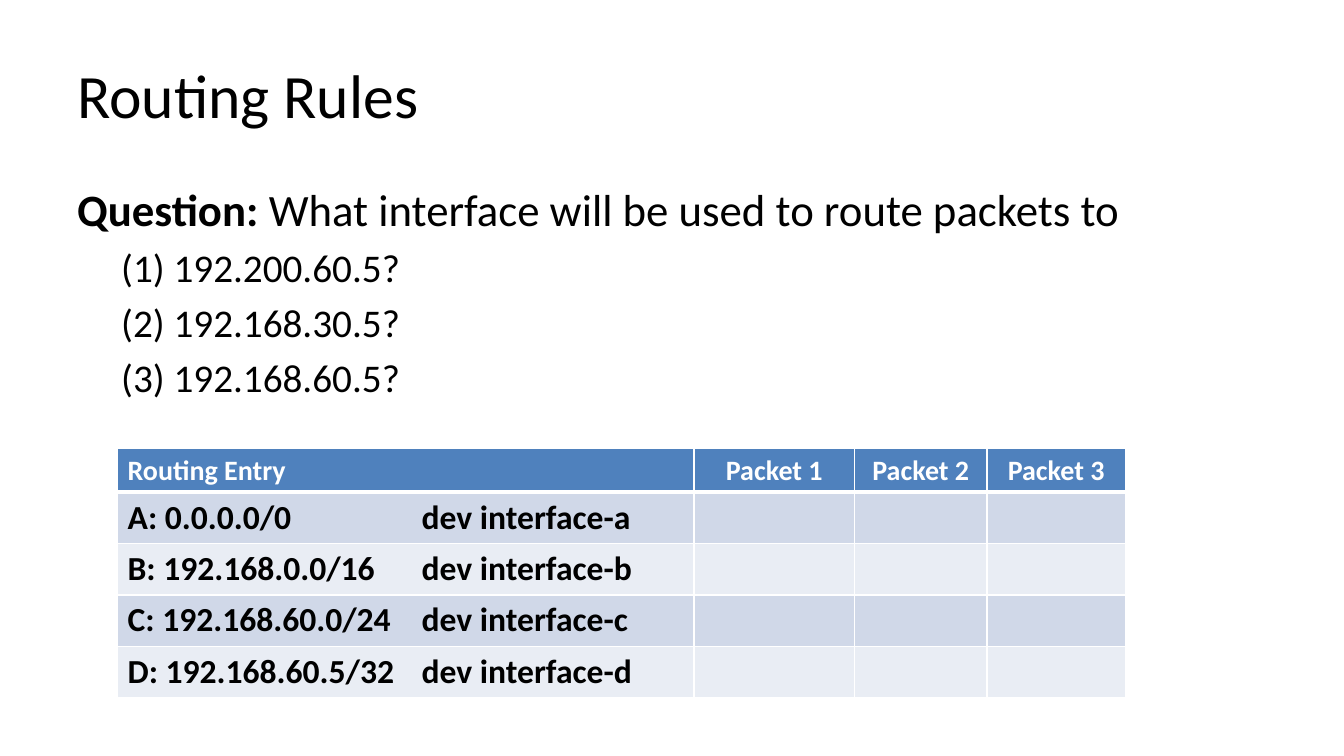
from dataclasses import dataclass

from lxml.etree import SubElement
from pptx import Presentation
from pptx.dml.color import RGBColor
from pptx.enum.text import MSO_ANCHOR, PP_ALIGN
from pptx.oxml.ns import qn
from pptx.util import Pt

EMU_PER_PX = 9525


@dataclass(frozen=True)
class Theme:
    font: str = "Calibri"
    ink: str = "000000"
    white: str = "FFFFFF"
    header: str = "4F81BD"
    bands: tuple = ("D0D8E8", "E9EDF4")
    title_size: int = 44
    question_size: int = 32
    address_size: int = 28
    header_size: int = 20
    entry_size: int = 24


THEME = Theme()

ADDRESSES = ["192.200.60.5", "192.168.30.5", "192.168.60.5"]
HEADINGS = ["Routing Entry", "Packet 1", "Packet 2", "Packet 3"]
ROUTES = [
    ("A: 0.0.0.0/0", "dev interface-a"),
    ("B: 192.168.0.0/16", "dev interface-b"),
    ("C: 192.168.60.0/24", "dev interface-c"),
    ("D: 192.168.60.5/32", "dev interface-d"),
]


def px(length):
    return round(length * EMU_PER_PX)


def add_run(paragraph, text, size, color=THEME.ink, bold=False):
    run = paragraph.add_run()
    run.text = text
    run.font.name = THEME.font
    run.font.size = Pt(size)
    run.font.bold = bold
    run.font.color.rgb = RGBColor.from_string(color)


def add_text_frame(slide, box, anchor):
    frame = slide.shapes.add_textbox(*map(px, box)).text_frame
    frame.word_wrap = True
    frame.vertical_anchor = anchor
    return frame


def add_title(slide, box):
    frame = add_text_frame(slide, box, MSO_ANCHOR.MIDDLE)
    add_run(frame.paragraphs[0], "Routing Rules", THEME.title_size)


def add_question(slide, box):
    frame = add_text_frame(slide, box, MSO_ANCHOR.TOP)
    question = frame.paragraphs[0]
    question.space_before = Pt(THEME.question_size * 0.2)
    add_run(question, "Question: ", THEME.question_size, bold=True)
    add_run(question, "What interface will be used to route packets to", THEME.question_size)

    # Numbered addresses, indented below the question
    for number, address in enumerate(ADDRESSES, start=1):
        item = frame.add_paragraph()
        item.level = 1
        item.space_before = Pt(THEME.address_size * 0.2)
        properties = item._p.get_or_add_pPr()
        properties.set("marL", str(px(42)))
        properties.set("indent", "0")
        add_run(item, f"({number}) {address}?", THEME.address_size)


def add_tab_stop(paragraph, position):
    stops = SubElement(paragraph._p.get_or_add_pPr(), qn("a:tabLst"))
    SubElement(stops, qn("a:tab"), pos=str(px(position)), algn="l")


def style_cell(cell, fill, bottom_width=1):
    properties = cell._tc.get_or_add_tcPr()
    for side, width in (("L", 1), ("R", 1), ("T", 1), ("B", bottom_width)):
        border = SubElement(properties, qn(f"a:ln{side}"), w=str(Pt(width)))
        solid = SubElement(border, qn("a:solidFill"))
        SubElement(solid, qn("a:srgbClr"), val=THEME.white)
    cell.fill.solid()
    cell.fill.fore_color.rgb = RGBColor.from_string(fill)


def add_routing_table(slide, box):
    column_widths = [549, 153, 126, 132]
    header_height, entry_height = 41, 49
    frame = slide.shapes.add_table(len(ROUTES) + 1, len(HEADINGS), *map(px, box))
    table = frame.table
    for column, width in zip(table.columns, column_widths):
        column.width = px(width)
    for index, row in enumerate(table.rows):
        row.height = px(entry_height if index else header_height)

    # Header row
    for index, heading in enumerate(HEADINGS):
        cell = table.cell(0, index)
        style_cell(cell, THEME.header, bottom_width=3)
        paragraph = cell.text_frame.paragraphs[0]
        paragraph.alignment = PP_ALIGN.CENTER if index else PP_ALIGN.LEFT
        add_run(paragraph, heading, THEME.header_size, THEME.white, bold=True)

    # Routing entries, with empty answer cells
    for index, (route, device) in enumerate(ROUTES):
        for cell in table.rows[index + 1].cells:
            style_cell(cell, THEME.bands[index % 2])
        entry = table.cell(index + 1, 0).text_frame.paragraphs[0]
        add_tab_stop(entry, 280)
        add_run(entry, f"{route}\t{device}", THEME.entry_size, bold=True)


def main():
    deck = Presentation()
    deck.slide_width, deck.slide_height = px(1280), px(720)
    slide = deck.slides.add_slide(deck.slide_layouts[6])
    add_title(slide, (64, 29, 1152, 120))
    add_question(slide, (64, 168, 1152, 240))
    add_routing_table(slide, (112, 427, 960, 237))
    deck.save("out.pptx")


if __name__ == "__main__":
    main()
